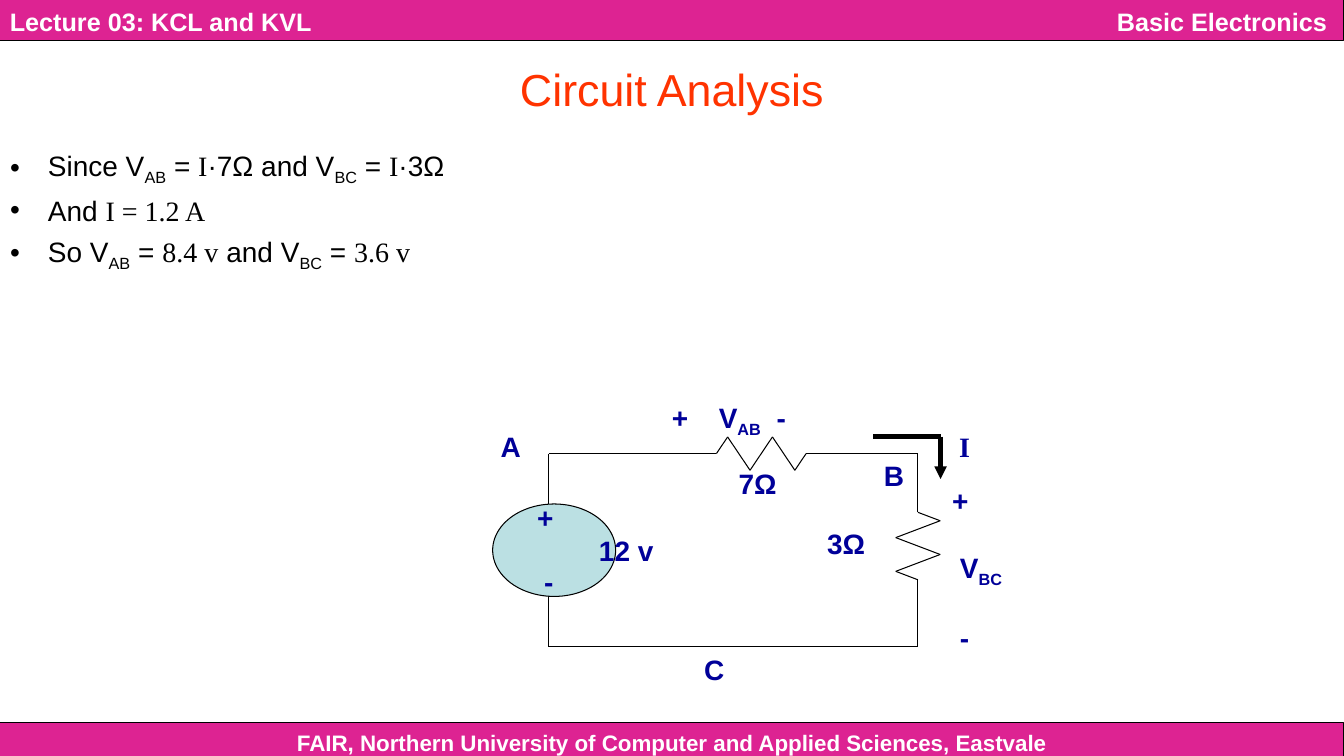
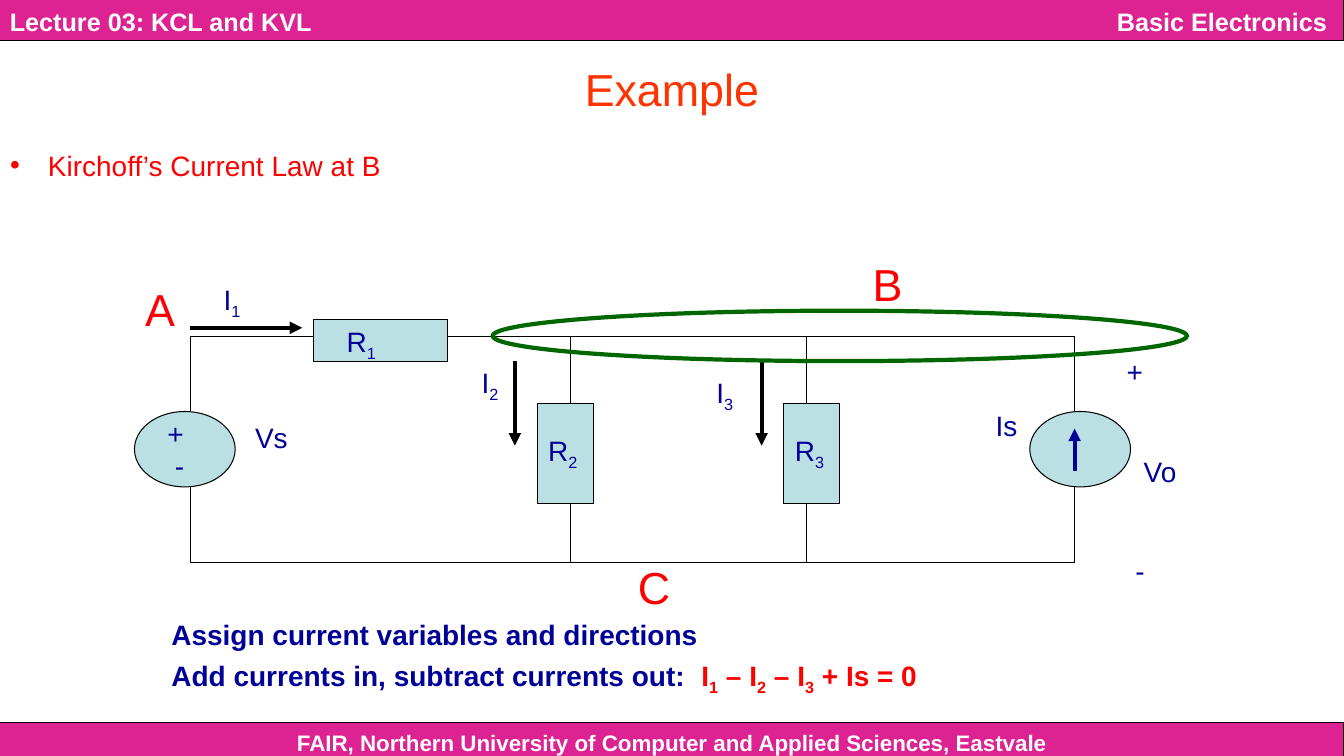
from lxml.etree import SubElement
from pptx import Presentation
from pptx.dml.color import RGBColor
from pptx.enum.shapes import MSO_CONNECTOR, MSO_SHAPE
from pptx.enum.text import MSO_ANCHOR, PP_ALIGN
from pptx.oxml.ns import qn
from pptx.util import Cm, Pt

WIDTH, HEIGHT = 33.88, 19.05
PINK = RGBColor(0xDD, 0x23, 0x92)
WHITE = RGBColor(0xFF, 0xFF, 0xFF)
BLACK = RGBColor(0, 0, 0)
ORANGE = RGBColor(0xFF, 0x33, 0)
RED = RGBColor(0xFF, 0, 0)
NAVY = RGBColor(0, 0, 0x99)
GREEN = RGBColor(0, 0x66, 0)
PALE_BLUE = RGBColor(0xBB, 0xE0, 0xE3)
SANS, SERIF = "Arial", "Times New Roman"
THIN, THICK = 0.75, 3


def zigzag(x, y, length, swing, vertical=False):
    """Return the points of a resistor that starts at x, y."""
    steps = [(0, 0), (1, -1), (3, 1), (5, -1), (7, 1), (8, 0)]
    if vertical:
        return [(x - side * swing, y + length * step / 8) for step, side in steps]
    return [(x + length * step / 8, y + side * swing) for step, side in steps]


class LectureDeck:
    """Holds the lecture style and the slide being drawn."""

    def __init__(self):
        """Start an empty presentation."""
        self.presentation = Presentation()
        self.presentation.slide_width = Cm(WIDTH)
        self.presentation.slide_height = Cm(HEIGHT)
        self.slide = None

    def add_runs(self, paragraph, text, size, color, bold=False):
        """Add runs parted by |, where _ marks a subscript and ~ the serif font."""
        for part in text.split("|"):
            run = paragraph.add_run()
            run.text = part.lstrip("_~")
            run.font.name = SERIF if part.startswith("~") else SANS
            run.font.size = Pt(size)
            run.font.bold = bold
            run.font.color.rgb = color
            if part.startswith("_"):
                run._r.get_or_add_rPr().set("baseline", "-25000")

    def place(self, shape, left, top, width, height):
        """Move and size a shape."""
        shape.left, shape.top = Cm(left), Cm(top)
        shape.width, shape.height = Cm(width), Cm(height)

    def add_slide(self, title, bullets, color):
        """Add a slide with its bands, title and bullet list."""
        self.slide = self.presentation.slides.add_slide(self.presentation.slide_layouts[1])
        self.band(18.21, 0.94)
        self.band(0, 1.02)
        self.label(0, 18.37, "FAIR, Northern University of Computer and Applied Sciences, Eastvale",
                   16, WHITE, True, WIDTH, PP_ALIGN.CENTER)
        self.label(0.25, 0.17, "Lecture 03: KCL and KVL", 18, WHITE, True, 15)
        self.label(18.45, 0.17, "Basic Electronics", 18, WHITE, True, 15, PP_ALIGN.RIGHT)

        heading = self.slide.shapes.title
        self.place(heading, 0, 1.07, WIDTH, 2.34)
        heading.text_frame.vertical_anchor = MSO_ANCHOR.MIDDLE
        paragraph = heading.text_frame.paragraphs[0]
        paragraph.alignment = PP_ALIGN.CENTER
        self.add_runs(paragraph, title, 32, ORANGE)

        body = self.slide.placeholders[1]
        self.place(body, 0, 3.61, WIDTH, 14.17)
        frame = body.text_frame
        for index, bullet in enumerate(bullets):
            paragraph = frame.add_paragraph() if index else frame.paragraphs[0]
            paragraph.space_before = Pt(5)
            self.add_runs(paragraph, bullet, 20, color)

    def band(self, top, height):
        """Add a full-width coloured band."""
        self.shape(MSO_SHAPE.RECTANGLE, 0, top, WIDTH, height, PINK)

    def shape(self, kind, left, top, width, height, fill=PALE_BLUE, line=BLACK, weight=THIN):
        """Add an outlined shape, hollow when fill is None."""
        shape = self.slide.shapes.add_shape(kind, Cm(left), Cm(top), Cm(width), Cm(height))
        shape.shadow.inherit = False
        if fill is None:
            shape.fill.background()
        else:
            shape.fill.solid()
            shape.fill.fore_color.rgb = fill
        shape.line.color.rgb = line
        shape.line.width = Pt(weight)

    def label(self, left, top, text, size=20, color=NAVY, bold=False, width=2,
              alignment=PP_ALIGN.LEFT):
        """Add one line of text without insets."""
        box = self.slide.shapes.add_textbox(Cm(left), Cm(top), Cm(width), Pt(size * 1.2))
        frame = box.text_frame
        frame.word_wrap = True
        frame.margin_left = frame.margin_right = frame.margin_top = frame.margin_bottom = 0
        paragraph = frame.paragraphs[0]
        paragraph.alignment = alignment
        self.add_runs(paragraph, text, size, color, bold)

    def wire(self, *points, color=BLACK, weight=THIN, arrow=False):
        """Join points with straight lines, with an arrowhead at the end if asked."""
        for start, end in zip(points, points[1:]):
            connector = self.slide.shapes.add_connector(
                MSO_CONNECTOR.STRAIGHT, *(Cm(length) for length in start + end))
            connector.line.color.rgb = color
            connector.line.width = Pt(weight)
            properties = connector.element.spPr
            if arrow and end == points[-1]:
                SubElement(properties.get_or_add_ln(), qn("a:tailEnd"), type="triangle")
            SubElement(properties, qn("a:effectLst"))

    def arrow(self, *points, color=BLACK):
        """Add a thick current arrow."""
        self.wire(*points, color=color, weight=THICK, arrow=True)


def circuit_analysis(deck):
    """Draw the series circuit slide."""
    deck.add_slide("Circuit Analysis", [
        "Since V|_AB| = |~I|·7Ω and V|_BC| = |~I|·3Ω",
        "And |~I = 1.2 A",
        "So V|_AB| = |~8.4 v| and V|_BC| = |~3.6 v",
    ], BLACK)
    left, right, top, bottom = 13.83, 23.14, 11.43, 16.3
    deck.shape(MSO_SHAPE.OVAL, 12.42, 12.7, 3.1, 2.33)
    deck.wire((left, 12.7), (left, top), *zigzag(18.06, top, 2.26, 0.42),
              (right, top), *zigzag(right, 12.91, 1.7, 0.56, vertical=True),
              (right, bottom), (left, bottom), (left, 15.03))
    deck.arrow((22.01, 11), (23.71, 11), (23.71, 12.07))
    for x, y, text in [
        (13.54, 12.62, "+"), (15.1, 13.45, "12 v"), (13.72, 14.23, "-"),
        (24.18, 10.82, "~I"), (18.62, 11.76, "7Ω"), (20.85, 13.26, "3Ω"),
        (12.62, 10.82, "A"), (22.28, 11.56, "B"), (17.75, 16.43, "C"),
        (16.94, 10.08, "+"), (18.12, 10.08, "V|_AB"), (19.58, 10.08, "-"),
        (24, 12.19, "+"), (24.2, 13.88, "V|_BC"), (24.2, 15.64, "-"),
    ]:
        deck.label(x, y, text, bold=True)


def current_law_example(deck):
    """Draw the current law slide."""
    deck.add_slide("Example", ["Kirchoff’s Current Law at B"], RED)
    left, right, top, bottom = 4.8, 27.09, 8.47, 14.18
    for x in (3.39, 25.96):
        deck.shape(MSO_SHAPE.OVAL, x, 10.37, 2.54, 1.9)
    deck.shape(MSO_SHAPE.RECTANGLE, 7.9, 8.04, 3.39, 1.06)
    for x in (13.55, 19.76):
        deck.shape(MSO_SHAPE.RECTANGLE, x, 10.16, 1.41, 2.54)
    deck.wire((left, 10.37), (left, top), (7.9, top))
    deck.wire((11.29, top), (right, top), (right, 10.37))
    deck.wire((left, 12.28), (left, bottom), (right, bottom), (right, 12.28))
    for x in (14.39, 20.32):
        deck.wire((x, top), (x, 10.16))
        deck.wire((x, 12.7), (x, bottom))
    deck.arrow((right, 11.86), (right, 10.8), color=NAVY)
    deck.arrow((left, 8.26), (7.62, 8.26))
    for x in (12.98, 19.2):
        deck.arrow((x, 9.1), (x, 11.23))
    for x, y, text in [
        (4.22, 10.49, "+"), (4.41, 11.3, "-"), (6.43, 10.59, "Vs"), (25.1, 10.29, "Is"),
        (8.74, 8.18, "R|_1"), (13.82, 10.92, "R|_2"), (20.04, 10.92, "R|_3"),
        (5.64, 7.11, "I|_1"), (12.14, 9.22, "I|_2"), (18.06, 9.45, "I|_3"),
        (28.4, 8.92, "+"), (28.83, 11.44, "Vo"), (28.62, 13.94, "-"),
    ]:
        deck.label(x, y, text)
    for x, y, text in [(3.66, 7.11, "A"), (22, 6.48, "B"), (16.08, 14.1, "C")]:
        deck.label(x, y, text, 32, RED)
    deck.label(4.32, 15.57, "Assign current variables and directions", bold=True, width=15)
    deck.label(4.32, 16.6, "Add currents in, subtract currents out:", bold=True, width=13.3)
    deck.label(17.68, 16.6, "I|_1| – I|_2| – I|_3| + Is = 0", color=RED, bold=True, width=7)
    deck.shape(MSO_SHAPE.OVAL, 12.42, 7.83, 17.5, 1.27, None, GREEN, THICK)


def main():
    """Build and save the lecture slides."""
    deck = LectureDeck()
    circuit_analysis(deck)
    current_law_example(deck)
    deck.presentation.save("out.pptx")


if __name__ == "__main__":
    main()
